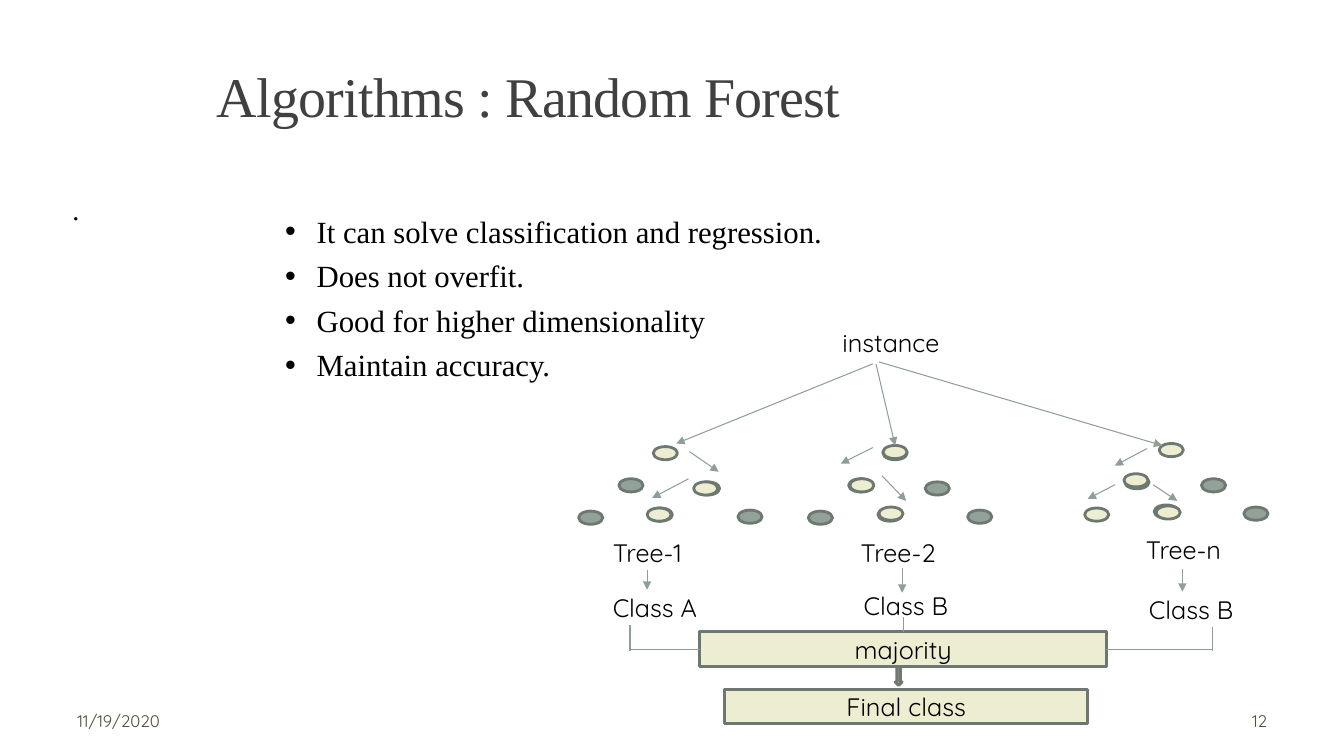
"""Build the Random Forest slide with its three voting trees."""
from dataclasses import dataclass

from lxml import etree
from pptx import Presentation
from pptx.dml.color import RGBColor
from pptx.enum.shapes import MSO_CONNECTOR, MSO_SHAPE
from pptx.enum.text import MSO_ANCHOR, PP_ALIGN
from pptx.oxml.ns import qn
from pptx.util import Pt

STRAIGHT = MSO_CONNECTOR.STRAIGHT
ELLIPSE, RECTANGLE, DOWN_ARROW = MSO_SHAPE.OVAL, MSO_SHAPE.RECTANGLE, MSO_SHAPE.DOWN_ARROW
LEFT, CENTER, RIGHT = PP_ALIGN.LEFT, PP_ALIGN.CENTER, PP_ALIGN.RIGHT
TOP, MIDDLE = MSO_ANCHOR.TOP, MSO_ANCHOR.MIDDLE

SANS, SERIF = "Quicksand", "Times New Roman"
BLACK, TITLE_GREY, FOOTER_BROWN = "000000", "404040", "564B3C"
CREAM, SAGE, OUTLINE, LINK = "ECEDD1", "93A299", "6D7871", "8F9F96"
NODE_SIZE = (17.3, 9.4)
LABEL_SIZE = (123.8, 28.8)
NODE_OFFSETS = ((0, 0), (30.2, 25.2), (60.5, 45.4), (-24.5, 23), (-53.3, 46.1), (-3.6, 43.9))

Point = tuple[float, float]
Box = tuple[float, float, float, float]


@dataclass
class Style:
    size: float
    font: str = SANS
    color: str = BLACK
    align: PP_ALIGN = LEFT
    anchor: MSO_ANCHOR = TOP


@dataclass
class Link:
    start: Point
    end: Point
    arrow: bool = True


@dataclass
class Tree:
    root: Point
    shaded: tuple[int, ...]
    chosen: tuple[Point, ...]
    name: str
    name_at: Point
    vote: str
    vote_at: Point


LABEL = Style(18)
BOX_LABEL = Style(18, align=CENTER, anchor=MIDDLE)

TREES = (
    Tree((466.6, 319), (1, 2, 3, 4, 5), ((466.6, 319), (495.4, 344.2), (462.2, 362.9)),
         "Tree-1", (430.6, 380.2), "Class A", (430.6, 419.8)),
    Tree((630.7, 319), (0, 1, 2, 3, 4, 5), ((607, 342), (630.7, 318.2), (627.8, 362.2)),
         "Tree-2", (607.7, 380.2), "Class B", (609.8, 418.3)),
    Tree((828, 316.8), (1, 2, 3, 5),
         ((802.8, 338.4), (828, 316.8), (774.7, 362.9), (825.8, 361.4)),
         "Tree-n", (811.4, 378), "Class B", (813.6, 421.2)),
)

LINKS = (
    Link((623.5, 259.9), (483.1, 316.8)),
    Link((625.7, 259.9), (639.4, 318.2)),
    Link((627.8, 258.5), (830.2, 318.2)),
    Link((492.5, 322.6), (513.4, 337)),
    Link((491.8, 342), (465.8, 355.7)),
    Link((623.5, 319.7), (600.5, 331.2)),
    Link((630, 339.8), (647.3, 357.8)),
    Link((819.4, 320.4), (796.3, 332.6)),
    Link((796.3, 346.3), (776.9, 356.4)),
    Link((823.7, 346.3), (841, 357.8)),
    Link((462.2, 407.5), (462.2, 421.2)),
    Link((644.4, 405.4), (644.4, 423.4)),
    Link((844.6, 406.1), (844.6, 422.6)),
    Link((789.8, 463.7), (866.2, 463.7), False),
    Link((499.7, 463.7), (450, 463.7), False),
    Link((450, 465.1), (450, 446.4), False),
    Link((866.2, 465.1), (866.2, 447.8), False),
    Link((645.1, 451.4), (645.1, 440.6), False),
)

BENEFITS = (
    "It can solve classification and regression.",
    "Does not overfit.",
    "Good for higher dimensionality",
    "Maintain accuracy.",
)


def rgb(color: str) -> RGBColor:
    """Turn a hex string into a colour."""
    return RGBColor.from_string(color)


def write(frame, lines: tuple[str, ...], style: Style) -> None:
    """Fill a text frame with one paragraph per line."""
    frame.word_wrap = True
    frame.vertical_anchor = style.anchor
    for index, line in enumerate(lines):
        paragraph = frame.add_paragraph() if index else frame.paragraphs[0]
        paragraph.alignment = style.align
        run = paragraph.add_run()
        run.text = line
        run.font.size = Pt(style.size)
        run.font.name = style.font
        run.font.color.rgb = rgb(style.color)


def add_text(slide, box: Box, lines: tuple[str, ...], style: Style):
    """Add a text box and return its frame."""
    frame = slide.shapes.add_textbox(*map(Pt, box)).text_frame
    write(frame, lines, style)
    return frame


def add_figure(slide, kind: MSO_SHAPE, box: Box, fill: str, label: str = "") -> None:
    """Add an outlined shape with an optional centred label."""
    figure = slide.shapes.add_shape(kind, *map(Pt, box))
    figure.shadow.inherit = False
    figure.fill.solid()
    figure.fill.fore_color.rgb = rgb(fill)
    figure.line.color.rgb = rgb(OUTLINE)
    figure.line.width = Pt(2)
    if label:
        write(figure.text_frame, (label,), BOX_LABEL)


def add_link(slide, link: Link) -> None:
    """Draw a thin line, with an arrowhead where asked."""
    line = slide.shapes.add_connector(STRAIGHT, *map(Pt, link.start + link.end))
    line.line.color.rgb = rgb(LINK)
    line.line.width = Pt(0.75)
    properties = line.element.spPr
    if link.arrow:
        etree.SubElement(properties.find(qn("a:ln")), qn("a:tailEnd"), type="triangle")
    etree.SubElement(properties, qn("a:effectLst"))


def add_title(slide) -> None:
    """Add the slightly tightened title."""
    frame = add_text(slide, (147.6, 47.5, 812.2, 114.5), ("Algorithms : Random Forest",),
                     Style(40, SERIF, TITLE_GREY))
    heading = frame.paragraphs[0]
    heading.line_spacing = 0.85
    heading.runs[0].font.element.set("spc", "-50") if hasattr(
        heading.runs[0].font, "element") else heading.runs[0]._r.get_or_add_rPr().set("spc", "-50")


def add_benefits(slide) -> None:
    """Add the bulleted list of benefits."""
    frame = add_text(slide, (196.6, 120.2, 623.5, 259.2), BENEFITS, Style(22, SERIF))
    frame.margin_top = Pt(31.6)
    for benefit in frame.paragraphs:
        benefit.space_after = Pt(5.4)
        properties = benefit._p.get_or_add_pPr()
        properties.set("marL", str(Pt(22.5)))
        properties.set("indent", str(Pt(-22.5)))
        etree.SubElement(properties, qn("a:buFont"), typeface="Arial")
        etree.SubElement(properties, qn("a:buChar"), char="•")


def add_tree(slide, tree: Tree) -> None:
    """Draw the nodes of a tree, its name and its vote."""
    left, top = tree.root
    for index in tree.shaded:
        across, down = NODE_OFFSETS[index]
        add_figure(slide, ELLIPSE, (left + across, top + down, *NODE_SIZE), SAGE)
    for node in tree.chosen:
        add_figure(slide, ELLIPSE, (*node, *NODE_SIZE), CREAM)
    add_text(slide, (*tree.name_at, *LABEL_SIZE), (tree.name,), LABEL)
    add_text(slide, (*tree.vote_at, *LABEL_SIZE), (tree.vote,), LABEL)


def main() -> None:
    """Build and save the slide."""
    deck = Presentation()
    deck.slide_width, deck.slide_height = Pt(960), Pt(540)
    slide = deck.slides.add_slide(deck.slide_layouts[6])
    add_text(slide, (48.2, 500.4, 223.9, 28.8), ("11/19/2020",),
             Style(12, color=FOOTER_BROWN, anchor=MIDDLE))
    add_text(slide, (688.3, 500.4, 223.9, 28.8), ("12",),
             Style(12, color=FOOTER_BROWN, align=RIGHT, anchor=MIDDLE))
    add_title(slide)
    add_text(slide, (44.6, 133.9, 730.8, 259.2), (".",), Style(20, SERIF))
    add_benefits(slide)
    add_text(slide, (594.7, 230.4, 134.6, 28.8), ("instance",), LABEL)
    for tree in TREES:
        add_tree(slide, tree)
    add_figure(slide, RECTANGLE, (499.7, 451.4, 290.9, 24.5), CREAM, "majority")
    add_figure(slide, RECTANGLE, (517.7, 492.5, 259.2, 24.5), CREAM, "Final class")
    for link in LINKS:
        add_link(slide, link)
    add_figure(slide, DOWN_ARROW, (639.4, 476.6, 5, 13), SAGE)
    deck.save("out.pptx")


if __name__ == "__main__":
    main()
